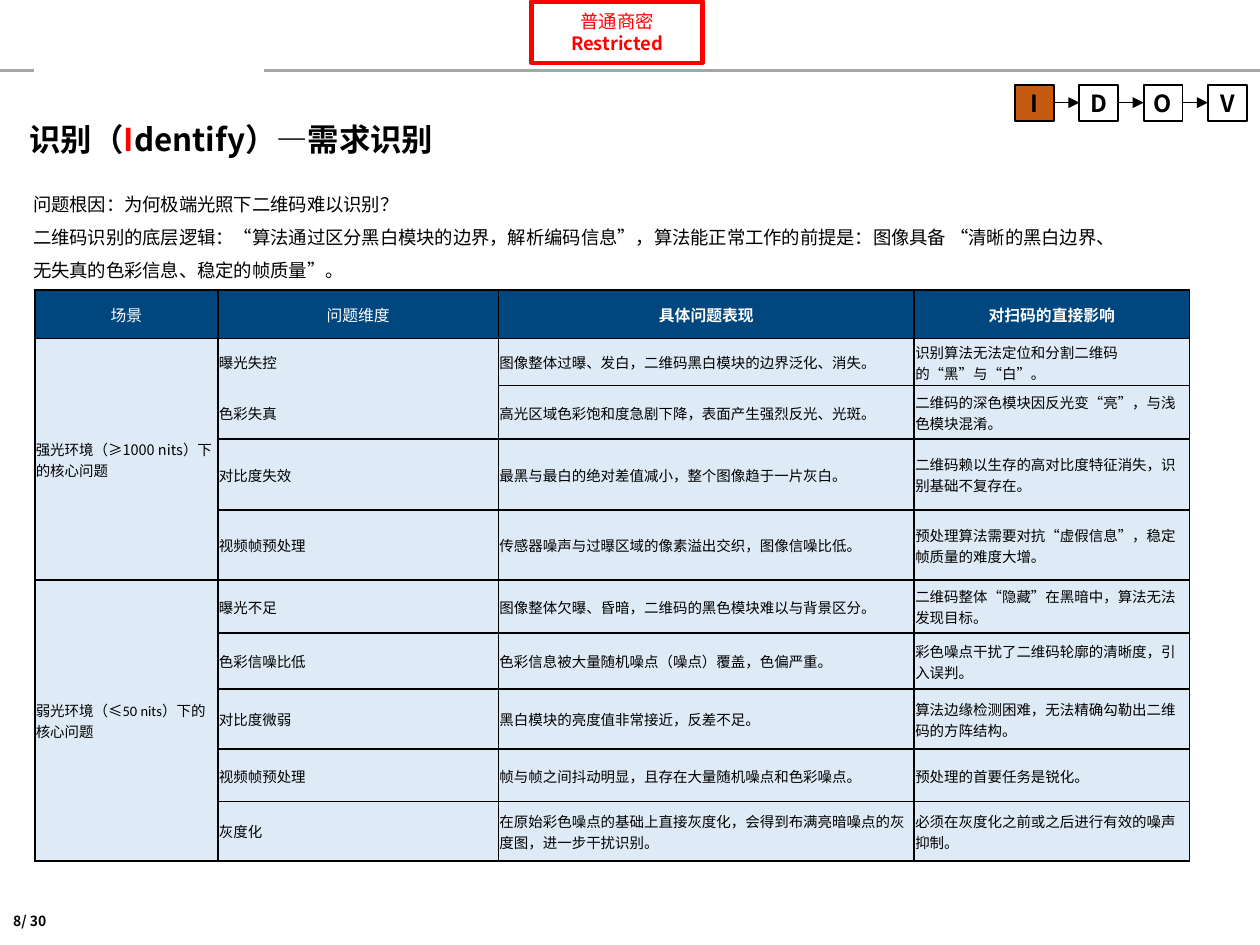
"""Build the Identify slide: requirement table for QR codes in extreme light."""
from lxml import etree
from pptx import Presentation
from pptx.dml.color import RGBColor
from pptx.enum.shapes import MSO_CONNECTOR, MSO_SHAPE
from pptx.enum.text import MSO_ANCHOR, PP_ALIGN
from pptx.oxml.ns import qn
from pptx.util import Cm, Pt

rgb = RGBColor.from_string
NOTO = "Noto Sans CJK SC"
BLACK, RED, WHITE = "000000", "FF0000", "FFFFFF"


def style(paragraph, size, color=BLACK, bold=False, align=PP_ALIGN.LEFT, name=NOTO):
    paragraph.alignment = align
    font = paragraph.font
    font.size, font.bold, font.name = Pt(size), bold, name
    font.color.rgb = rgb(color)
    defaults = paragraph._p.pPr.find(qn("a:defRPr"))
    etree.SubElement(defaults, qn("a:ea")).set("typeface", NOTO)


def draw_line(left, right, top, color, width):
    line = slide.shapes.add_connector(
        MSO_CONNECTOR.STRAIGHT, Cm(left), Cm(top), Cm(right), Cm(top))
    line.line.color.rgb = rgb(color)
    line.line.width = Pt(width)
    etree.SubElement(line._element.spPr, qn("a:effectLst"))
    return line


presentation = Presentation()
presentation.slide_width, presentation.slide_height = Cm(23.94), Cm(17.96)
slide = presentation.slides.add_slide(presentation.slide_layouts[6])

for left, right in [(0, 0.64), (5.02, 23.94)]:
    draw_line(left, right, 1.34, "A6A6A6", 1.5)

page_number = slide.shapes.add_textbox(Cm(0), Cm(17.22), Cm(1.96), Cm(0.58))
page_number.text_frame.word_wrap = True
page_number.text_frame.text = "8/ 30"
style(page_number.text_frame.paragraphs[0], 7.5, bold=True)

stamp = slide.shapes.add_shape(MSO_SHAPE.RECTANGLE, Cm(10.1), Cm(0.03), Cm(3.25), Cm(1.17))
stamp.shadow.inherit = False
stamp.fill.background()
stamp.line.color.rgb = rgb(RED)
stamp.line.width = Pt(2.25)
stamp.text_frame.vertical_anchor = MSO_ANCHOR.MIDDLE
stamp.text_frame.text = "普通商密\nRestricted"
for paragraph, bold in zip(stamp.text_frame.paragraphs, (False, True)):
    style(paragraph, 9.9, RED, bold, PP_ALIGN.CENTER)

STEP_LEFT, STEP_PITCH, STEP_WIDTH = 19.29, 1.22, 0.74
for index, letter in enumerate("IDOV"):
    left = STEP_LEFT + index * STEP_PITCH
    step = slide.shapes.add_shape(
        MSO_SHAPE.RECTANGLE, Cm(left), Cm(1.61), Cm(STEP_WIDTH), Cm(0.69))
    step.shadow.inherit = False
    if letter == "I":
        step.fill.solid()
        step.fill.fore_color.rgb = rgb("C55A11")
    else:
        step.fill.background()
    step.line.color.rgb = rgb(BLACK)
    step.line.width = Pt(1)
    frame = step.text_frame
    frame.margin_left = frame.margin_right = frame.margin_top = frame.margin_bottom = 0
    frame.vertical_anchor = MSO_ANCHOR.MIDDLE
    frame.text = letter
    style(frame.paragraphs[0], 12.7, bold=True, align=PP_ALIGN.CENTER)
    if index:
        arrow = draw_line(left - STEP_PITCH + STEP_WIDTH, left, 1.95, BLACK, 0.5)
        etree.SubElement(arrow.line._get_or_add_ln(), qn("a:tailEnd")).set("type", "triangle")

problem = slide.shapes.add_textbox(Cm(0.38), Cm(3.33), Cm(21.11), Cm(2.16))
problem.text_frame.word_wrap = True
problem.text_frame.text = (
    "问题根因：为何极端光照下二维码难以识别？\n"
    "二维码识别的底层逻辑：“算法通过区分黑白模块的边界，解析编码信息”，算法能正常工作的前提是："
    "图像具备 “清晰的黑白边界、无失真的色彩信息、稳定的帧质量”。")
for paragraph in problem.text_frame.paragraphs:
    paragraph.line_spacing = 1.5
    style(paragraph, 9.9)

title = slide.shapes.add_textbox(Cm(0.38), Cm(2.15), Cm(12.6), Cm(1.09))
frame = title.text_frame
frame.word_wrap = True
frame.vertical_anchor = MSO_ANCHOR.MIDDLE
frame.margin_left = frame.margin_right = Cm(0.18)
frame.margin_top = frame.margin_bottom = Cm(0.1)
paragraph = frame.paragraphs[0]
paragraph.line_spacing = 0.9
style(paragraph, 16.9, bold=True)
for text, color in [("识别（", BLACK), ("I", RED), ("dentify）—需求识别", BLACK)]:
    run = paragraph.add_run()
    run.text = text
    run.font.color.rgb = rgb(color)

COLUMN_WIDTHS = [3.48, 5.33, 7.9, 5.23]
ROW_HEIGHTS = [0.92, 0.9, 0, 1.01, 0, 1.35, 1.33, 1.01, 1.06, 1.15, 0.99, 1.13]
ROWS = [
    ("场景", "问题维度", "具体问题表现", "对扫码的直接影响"),
    ("强光环境（≥1000 nits）下的核心问题", "曝光失控",
     "图像整体过曝、发白，二维码黑白模块的边界泛化、消失。",
     "识别算法无法定位和分割二维码的“黑”与“白”。"),
    ("", "色彩失真", "", ""),
    ("", "", "高光区域色彩饱和度急剧下降，表面产生强烈反光、光斑。",
     "二维码的深色模块因反光变“亮”，与浅色模块混淆。"),
    ("", "对比度失效", "", ""),
    ("", "", "最黑与最白的绝对差值减小，整个图像趋于一片灰白。",
     "二维码赖以生存的高对比度特征消失，识别基础不复存在。"),
    ("", "视频帧预处理", "传感器噪声与过曝区域的像素溢出交织，图像信噪比低。",
     "预处理算法需要对抗“虚假信息”，稳定帧质量的难度大增。"),
    ("弱光环境（≤50 nits）下的核心问题", "曝光不足",
     "图像整体欠曝、昏暗，二维码的黑色模块难以与背景区分。",
     "二维码整体“隐藏”在黑暗中，算法无法发现目标。"),
    ("", "色彩信噪比低", "色彩信息被大量随机噪点（噪点）覆盖，色偏严重。",
     "彩色噪点干扰了二维码轮廓的清晰度，引入误判。"),
    ("", "对比度微弱", "黑白模块的亮度值非常接近，反差不足。",
     "算法边缘检测困难，无法精确勾勒出二维码的方阵结构。"),
    ("", "视频帧预处理", "帧与帧之间抖动明显，且存在大量随机噪点和色彩噪点。",
     "预处理的首要任务是锐化。"),
    ("", "灰度化", "在原始彩色噪点的基础上直接灰度化，会得到布满亮暗噪点的灰度图，进一步干扰识别。",
     "必须在灰度化之前或之后进行有效的噪声抑制。"),
]
table = slide.shapes.add_table(
    len(ROWS), len(COLUMN_WIDTHS), Cm(0.66), Cm(5.51),
    Cm(sum(COLUMN_WIDTHS)), Cm(sum(ROW_HEIGHTS))).table
table.first_row = table.horz_banding = False
for column, width in zip(table.columns, COLUMN_WIDTHS):
    column.width = Cm(width)
for row, height in zip(table.rows, ROW_HEIGHTS):
    row.height = Cm(height)

for row_index, texts in enumerate(ROWS):
    for column_index, text in enumerate(texts):
        cell = table.cell(row_index, column_index)
        cell.margin_left = cell.margin_right = cell.margin_top = Cm(0.02)
        cell.margin_bottom = 0
        cell.vertical_anchor = MSO_ANCHOR.MIDDLE
        cell.text = text
        paragraph = cell.text_frame.paragraphs[0]
        cell.fill.solid()
        if row_index == 0:
            cell.fill.fore_color.rgb = rgb("00467F")
            style(paragraph, 8.5, WHITE, column_index > 1, PP_ALIGN.CENTER)
        else:
            cell.fill.fore_color.rgb = rgb("DEEBF7")
            calibri = column_index == 1 or (column_index == 0 and row_index > 6)
            style(paragraph, 7.8, name="Calibri" if calibri else NOTO)
        properties = cell._tc.get_or_add_tcPr()
        for position, side in enumerate(("lnL", "lnR", "lnT", "lnB")):
            border = etree.Element(qn("a:" + side), w=str(Pt(1)))
            fill = etree.SubElement(border, qn("a:solidFill"))
            etree.SubElement(fill, qn("a:srgbClr")).set("val", BLACK)
            properties.insert(position, border)

for column_index, texts in enumerate(zip(*ROWS)):
    starts = [row_index for row_index, text in enumerate(texts) if text]
    for first, following in zip(starts, starts[1:] + [len(ROWS)]):
        if following - first > 1:
            table.cell(first, column_index).merge(table.cell(following - 1, column_index))

presentation.save("out.pptx")
